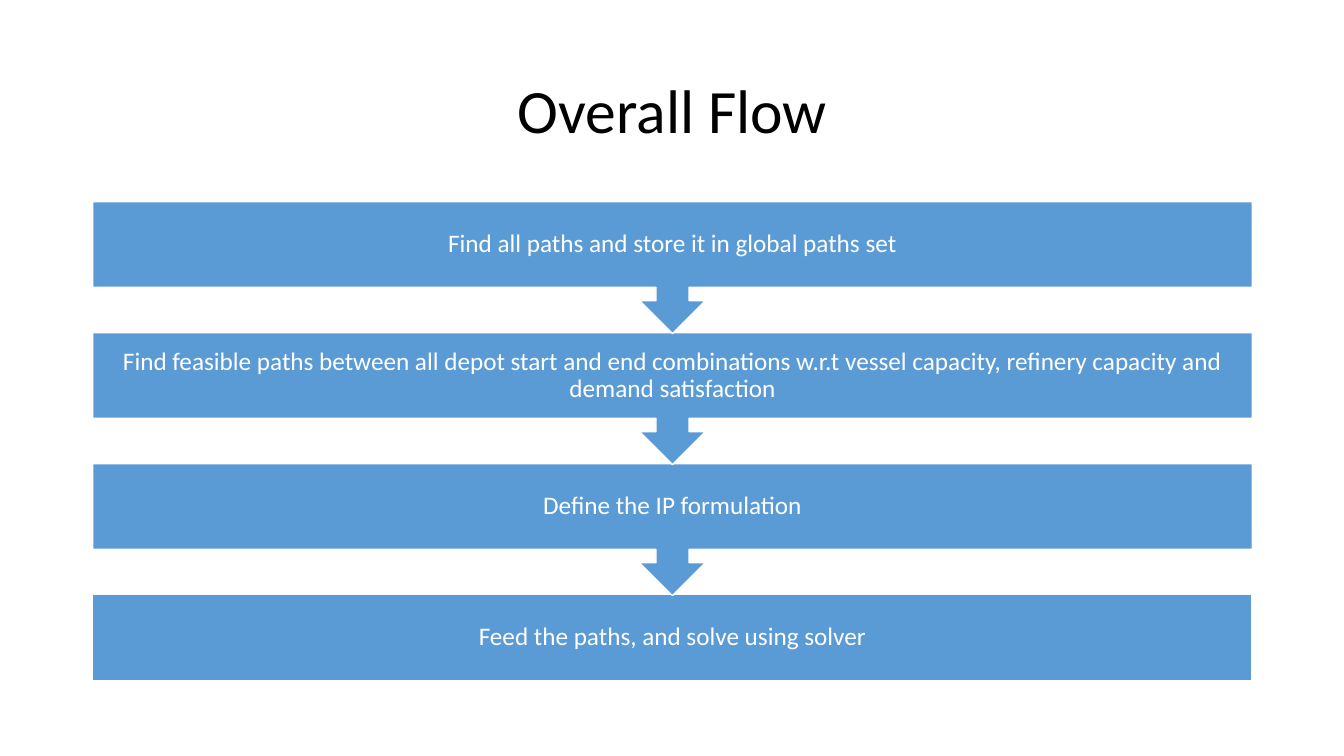
import dataclasses

import pptx
import pptx.dml.color
import pptx.enum.shapes
import pptx.enum.text
import pptx.util
from pptx.util import Inches


@dataclasses.dataclass(frozen=True)
class Theme:
    font: str = "Calibri"
    title_size: int = 44
    step_size: int = 18
    black: str = "000000"
    white: str = "FFFFFF"
    blue: str = "5B9BD5"


THEME = Theme()
LEFT, WIDTH = 0.92, 11.5
FIRST_TOP, STEP_PITCH = 2, 1.3
BOX_HEIGHT, CALLOUT_HEIGHT = 0.85, 1.31
STEPS = [
    "Find all paths and store it in global paths set",
    "Find feasible paths between all depot start and end combinations "
    "w.r.t vessel capacity, refinery capacity and demand satisfaction",
    "Define the IP formulation",
    "Feed the paths, and solve using solver",
]


def rgb(value):
    return pptx.dml.color.RGBColor.from_string(value)


def write_centred(shape, text, size, color):
    frame = shape.text_frame
    frame.text = text
    frame.word_wrap = True
    frame.vertical_anchor = pptx.enum.text.MSO_ANCHOR.MIDDLE
    paragraph = frame.paragraphs[0]
    paragraph.alignment = pptx.enum.text.PP_ALIGN.CENTER
    paragraph.line_spacing = 0.9
    font = paragraph.runs[0].font
    font.name = THEME.font
    font.size = pptx.util.Pt(size)
    font.color.rgb = rgb(color)


presentation = pptx.Presentation()
presentation.slide_width = Inches(13.33)
presentation.slide_height = Inches(7.5)
slide = presentation.slides.add_slide(presentation.slide_layouts.get_by_name("Title Only"))

title = slide.shapes.title
title.left, title.top = Inches(LEFT), Inches(0.4)
title.width, title.height = Inches(WIDTH), Inches(1.45)
write_centred(title, "Overall Flow", THEME.title_size, THEME.black)

# Bottom step first, so that each arrow tip lies over the box below it
last = len(STEPS) - 1
for index in range(last, -1, -1):
    if index == last:
        kind, height = pptx.enum.shapes.MSO_SHAPE.RECTANGLE, BOX_HEIGHT
    else:
        kind, height = pptx.enum.shapes.MSO_SHAPE.DOWN_ARROW_CALLOUT, CALLOUT_HEIGHT
    step = slide.shapes.add_shape(
        kind, Inches(LEFT), Inches(FIRST_TOP + index * STEP_PITCH), Inches(WIDTH), Inches(height)
    )
    step.shadow.inherit = False
    step.fill.solid()
    step.fill.fore_color.rgb = rgb(THEME.blue)
    step.line.color.rgb = rgb(THEME.white)
    step.line.width = pptx.util.Pt(1)
    frame = step.text_frame
    frame.margin_left = frame.margin_right = Inches(0.14)
    frame.margin_top = frame.margin_bottom = Inches(0.14)
    write_centred(step, STEPS[index], THEME.step_size, THEME.white)

presentation.save("out.pptx")
